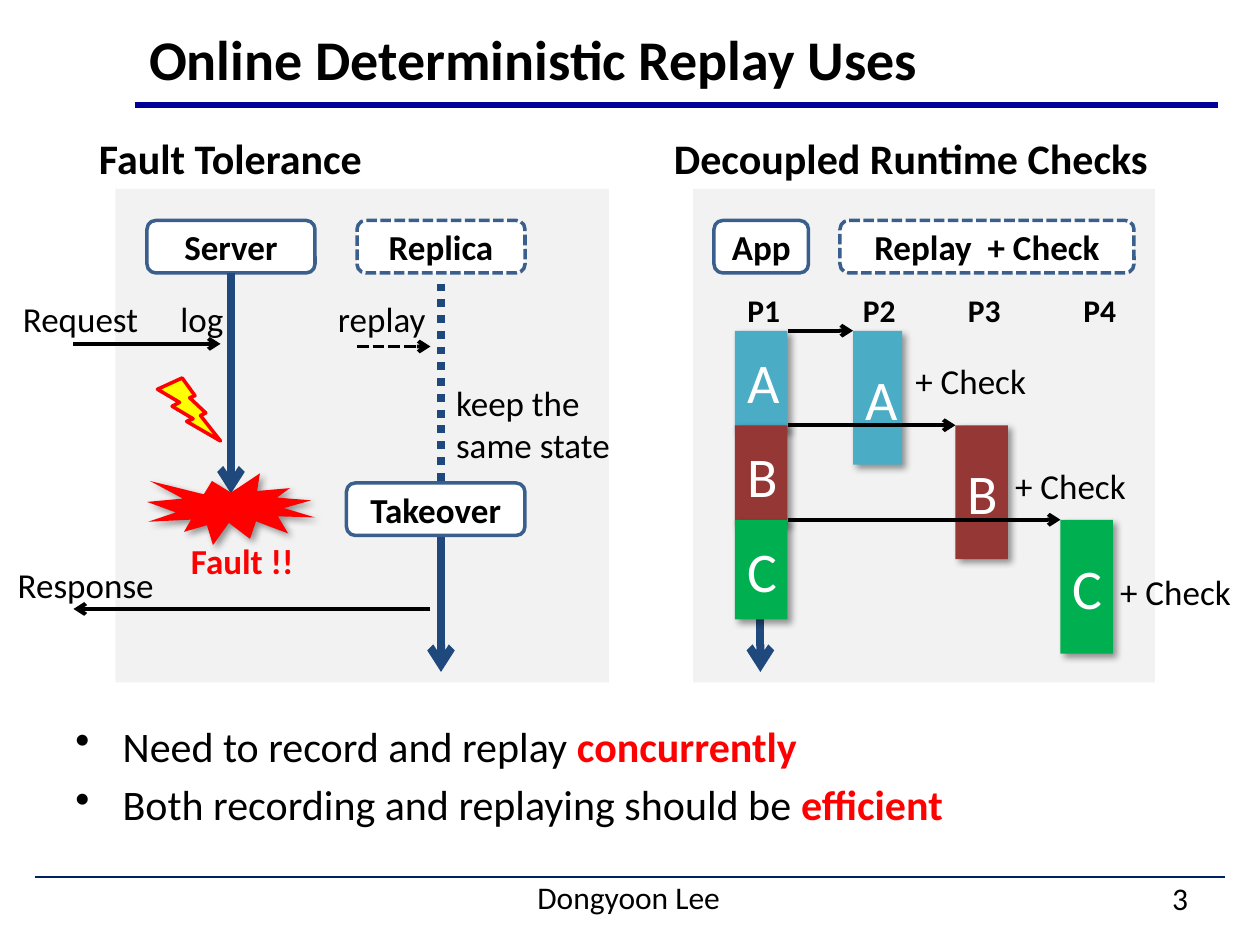
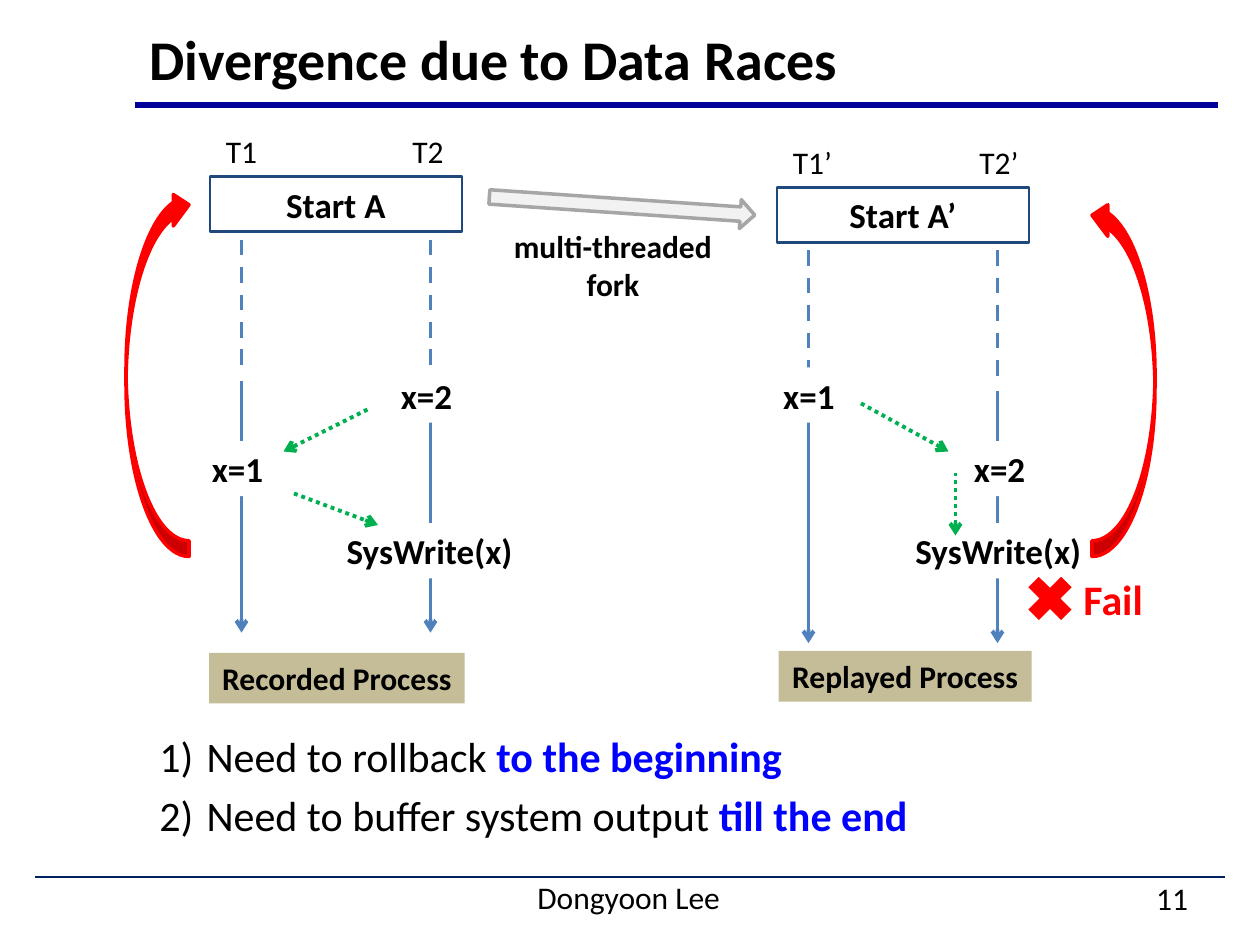
import dataclasses
import typing

import lxml.etree
import pptx
import pptx.dml.color
import pptx.enum.dml
import pptx.enum.shapes
import pptx.enum.text
import pptx.oxml.ns
import pptx.slide
import pptx.util

Kind = pptx.enum.shapes.MSO_SHAPE
Align = pptx.enum.text.PP_ALIGN
Fit = pptx.enum.text.MSO_AUTO_SIZE
Dash = pptx.enum.dml.MSO_LINE
Pt = pptx.util.Pt
Frame = tuple[float, float, float, float]
Point = tuple[float, float]

FONT = "Calibri"
BLACK, WHITE, RED, BLUE = "000000", "FFFFFF", "FF0000", "0000FF"
NAVY, STEEL, SKY, GREEN = "1F497D", "3A5F8C", "4F81BD", "00B050"
TEAL, BRICK, PALE, GREY, TAN = "4BACC6", "953735", "F2F2F2", "A6A6A6", "C4BD97"
RULE, BASE = "000099", "002060"


@dataclasses.dataclass
class Box:
    """A preset shape, or a plain text box when kind is None."""
    at: Frame
    text: str = ""
    kind: typing.Any = None
    fill: str = ""
    line: str = ""
    width: float = 2
    dash: typing.Any = None
    size: float = 20
    bold: bool = False
    ink: str = BLACK
    align: typing.Any = Align.LEFT
    wrap: bool = False
    shade: bool = False
    turn: float = 0


@dataclasses.dataclass
class Line:
    start: Point
    end: Point
    color: str = BLACK
    width: float = 2.25
    dash: typing.Any = None
    head: bool = True


@dataclasses.dataclass
class Side:
    """One process on the data race slide."""
    x: float
    top: float
    marks: tuple[str, str]
    wide: float
    start: str
    name: str
    plate: Frame
    steps: list[tuple[str, Frame]]
    hops: list[tuple[Point, Point]]


def rgb(code: str) -> pptx.dml.color.RGBColor:
    return pptx.dml.color.RGBColor.from_string(code)


def place(at: Frame) -> list[pptx.util.Length]:
    return [Pt(side) for side in at]


def add_xml(parent: typing.Any, tag: str, **attrs: str) -> typing.Any:
    return lxml.etree.SubElement(parent, pptx.oxml.ns.qn(tag), attrs)


def set_font(run: typing.Any, size: float, bold: bool, ink: str) -> None:
    run.font.name, run.font.size, run.font.bold = FONT, Pt(size), bold
    run.font.color.rgb = rgb(ink)


def write(frame: typing.Any, text: str, size: float, bold: bool = False,
          ink: str = BLACK, align: typing.Any = Align.LEFT) -> None:
    frame.text = text
    frame.vertical_anchor = pptx.enum.text.MSO_ANCHOR.MIDDLE
    for para in frame.paragraphs:
        para.alignment = align
        for run in para.runs:
            set_font(run, size, bold, ink)


def draw_box(slide: pptx.slide.Slide, box: Box) -> typing.Any:
    if box.kind is None:
        shape = slide.shapes.add_textbox(*place(box.at))
    else:
        shape = slide.shapes.add_shape(box.kind, *place(box.at))
        shape.rotation = box.turn
        if box.fill:
            shape.fill.solid()
            shape.fill.fore_color.rgb = rgb(box.fill)
        if box.line:
            shape.line.color.rgb = rgb(box.line)
            shape.line.width = Pt(box.width)
            if box.dash:
                shape.line.dash_style = box.dash
        else:
            shape.line.fill.background()
        shape.shadow.inherit = False
        if box.shade:
            drop(shape)
    if box.text:
        frame = shape.text_frame
        write(frame, box.text, box.size, box.bold, box.ink, box.align)
        frame.word_wrap = box.wrap
        frame.auto_size = Fit.NONE if box.wrap else Fit.SHAPE_TO_FIT_TEXT
    return shape


def drop(shape: typing.Any) -> None:
    """Give the shape a soft shadow to the lower right."""
    effects = shape.element.spPr.find(pptx.oxml.ns.qn("a:effectLst"))
    outer = add_xml(effects, "a:outerShdw", blurRad=str(int(Pt(4))),
                    dist=str(int(Pt(3))), dir="2700000", algn="tl", rotWithShape="0")
    add_xml(add_xml(outer, "a:srgbClr", val=BLACK), "a:alpha", val="40000")


def draw_line(slide: pptx.slide.Slide, line: Line) -> typing.Any:
    link = slide.shapes.add_connector(pptx.enum.shapes.MSO_CONNECTOR.STRAIGHT,
                                      *place(line.start + line.end))
    link.line.color.rgb = rgb(line.color)
    link.line.width = Pt(line.width)
    if line.dash:
        link.line.dash_style = line.dash
    props = link.element.spPr
    if line.head:
        add_xml(props.find(pptx.oxml.ns.qn("a:ln")), "a:tailEnd", type="arrow")
    add_xml(props, "a:effectLst")
    return link


def new_slide(deck: typing.Any, title: str, page: str) -> pptx.slide.Slide:
    """Add a slide with the shared title, rules and footer."""
    slide = deck.slides.add_slide(deck.slide_layouts[5])
    draw_line(slide, Line((77, 60), (696, 60), RULE, 3, head=False))
    draw_line(slide, Line((20, 501), (700, 501), BASE, 1, head=False))
    draw_box(slide, Box((300, 498, 120, 29), "Dongyoon Lee", size=18, wrap=True))
    draw_box(slide, Box((620, 501, 66, 24), page, size=18, align=Align.RIGHT, wrap=True))
    head = slide.shapes.title
    head.left, head.top, head.width, head.height = place((78, 12, 606, 42))
    write(head.text_frame, title, 32, True)
    head.text_frame.auto_size = Fit.NONE
    return slide


def add_points(slide: pptx.slide.Slide, at: Frame, ink: str,
               points: list[tuple[str, str]], mark: str = "") -> None:
    """Add hanging lines that each end in a bold coloured phrase."""
    frame = slide.shapes.add_textbox(*place(at)).text_frame
    frame.word_wrap = True
    for index, (lead, key) in enumerate(points):
        para = frame.add_paragraph() if index else frame.paragraphs[0]
        para.text = lead
        set_font(para.runs[0], 24, False, BLACK)
        run = para.add_run()
        run.text = key
        set_font(run, 24, True, ink)
        para.space_before = Pt(4.8)
        props = para._p.get_or_add_pPr()
        props.set("marL", str(int(Pt(27))))
        props.set("indent", str(int(Pt(-27))))
        if mark:
            add_xml(props, "a:buChar", char=mark)


def card(at: Frame, text: str, dash: typing.Any = None) -> Box:
    return Box(at, text, Kind.ROUNDED_RECTANGLE, WHITE, STEEL, dash=dash,
               bold=True, align=Align.CENTER, wrap=True)


def block(at: Frame, text: str, fill: str) -> Box:
    return Box(at, text, Kind.RECTANGLE, fill, size=32, ink=WHITE,
               align=Align.CENTER, wrap=True, shade=True)


def panel(slide: pptx.slide.Slide, at: Frame, head: str, spot: Frame) -> None:
    draw_box(slide, Box(at, kind=Kind.RECTANGLE, fill=PALE))
    draw_box(slide, Box(spot, head, size=24, bold=True))


def fault_panel(slide: pptx.slide.Slide) -> None:
    panel(slide, (66, 108, 282, 282), "Fault Tolerance", (49.5, 72, 166.5, 36))
    server = draw_box(slide, card((84, 126, 96, 30), "Server"))
    draw_box(slide, card((204, 126, 96, 30), "Replica", Dash.SQUARE_DOT))
    run = draw_line(slide, Line((132, 156), (132, 282), NAVY, 4.5))
    run.begin_connect(server, 2)
    draw_line(slide, Line((252, 162), (252, 275), NAVY, 4.5, Dash.ROUND_DOT, False))
    draw_line(slide, Line((252, 288), (252, 384), NAVY, 4.5))
    draw_box(slide, card((198, 276, 102, 30), "Takeover"))
    for line in (Line((42, 196.5), (126, 196.5)),
                 Line((246, 348), (42, 348)),
                 Line((204, 198), (246, 198), dash=Dash.SQUARE_DOT)):
        draw_line(slide, line)
    for text, at in (("Request", (6, 166.5, 81, 31.5)),
                     ("log", (96, 166.5, 39.5, 31.5)),
                     ("Response", (3, 318, 93, 31.5)),
                     ("replay", (186, 166.5, 65, 31.5)),
                     ("keep the\nsame state", (253.5, 214.5, 103.5, 55.5))):
        draw_box(slide, Box(at, text))
    draw_box(slide, Box((84, 270.5, 96, 41), kind=Kind.EXPLOSION1, fill=RED, shade=True))
    draw_box(slide, Box((102, 304.5, 73.5, 31.5), "Fault !!", bold=True, ink=RED))
    draw_box(slide, Box((90, 216, 36, 36), kind=Kind.LIGHTNING_BOLT,
                        fill="FFFF00", line=RED))


def check_panel(slide: pptx.slide.Slide) -> None:
    panel(slide, (396, 108, 264, 282), "Decoupled Runtime Checks", (378, 72, 288, 36))
    draw_box(slide, card((408, 126, 54, 30), "App"))
    draw_box(slide, card((480, 126, 168, 30), "Replay  + Check", Dash.SQUARE_DOT))
    for index, left in enumerate((420, 486, 546, 612), 1):
        draw_box(slide, Box((left, 162.5, 42, 29), f"P{index}", size=18,
                            bold=True, wrap=True))
    for top in (243, 298, 333):
        draw_line(slide, Line((434.5, top), (434.5, top + 51), NAVY, 4.5))
    parts = (("A", TEAL, 487.5, 28, (516, 201.5)),
             ("B", BRICK, 546, 30, (573, 261.5)),
             ("C", GREEN, 606, 30, (633, 322)))
    for index, (name, fill, left, wide, spot) in enumerate(parts):
        top = 189 + 54 * index
        draw_box(slide, block((420, top, 30, 57), name, fill))
        draw_box(slide, block((left, top, wide, 76.5), name, fill))
        draw_line(slide, Line((450, top), (left, top)))
        draw_box(slide, Box(spot + (78.5, 31.5), "+ Check"))


def draw_side(slide: pptx.slide.Slide, side: Side) -> None:
    draw_box(slide, Box((side.x, side.top, 144, 31.5), side.start, Kind.RECTANGLE, WHITE,
                        NAVY, 1.5, bold=True, align=Align.CENTER, wrap=True))
    draw_box(slide, Box(side.plate, side.name, Kind.RECTANGLE, TAN, size=18,
                        bold=True, align=Align.CENTER))
    for index, mark in enumerate(side.marks):
        left = side.x + 2 + 106.5 * index
        draw_box(slide, Box((left, side.top - 29, side.wide, 29), mark, size=18))
        lane = side.x + 18 + 108 * index
        top = side.top + 36
        draw_line(slide, Line((lane, top + 80.5), (lane, top + 224.5), SKY))
        draw_line(slide, Line((lane, top), (lane, top + 72), SKY,
                              dash=Dash.DASH, head=False))
    for text, at in side.steps:
        draw_box(slide, Box(at, text, Kind.RECTANGLE, WHITE, bold=True))
    for start, end in side.hops:
        draw_line(slide, Line(start, end, GREEN, dash=Dash.ROUND_DOT))


def race_slide(deck: typing.Any) -> None:
    slide = new_slide(deck, "Divergence due to Data Races", "11")
    add_points(slide, (84, 414, 606, 78), BLUE,
               [("1)\tNeed to rollback ", "to the beginning"),
                ("2)\tNeed to buffer system output ", "till the end")])
    sides = (
        Side(120, 101, ("T1", "T2"), 34.5, "Start A", "Recorded Process",
             (119.5, 373, 146, 29),
             [("SysWrite(x)", (191, 299, 110, 31.5)), ("x=1", (114, 252, 44, 31.5)),
              ("x=2", (222, 210, 46, 31.5))],
             [((210, 234), (162, 258)), ((168, 282), (216, 300))]),
        Side(444, 107, ("T1’", "T2’"), 37.5, "Start A’", "Replayed Process",
             (445, 372, 144.5, 29),
             [("x=1", (440.5, 210, 44, 31.5)), ("x=2", (549.5, 252, 44, 31.5)),
              ("SysWrite(x)", (516, 299, 110, 31.5))],
             [((492, 230.5), (542, 258)), ((546, 270), (546, 306))]))
    for side in sides:
        draw_side(slide, side)
    draw_box(slide, Box((279.5, 109.5, 152, 16.5), kind=Kind.RIGHT_ARROW,
                        fill=PALE, line=GREY, turn=3.9))
    draw_box(slide, Box((278, 126, 144.5, 51), "multi-threaded\nfork", size=18,
                        bold=True, align=Align.CENTER))
    for kind, at in ((Kind.CURVED_LEFT_ARROW, (72, 108, 36, 210)),
                     (Kind.CURVED_RIGHT_ARROW, (624, 114, 36, 204))):
        draw_box(slide, Box(at, kind=kind, fill=RED, line=RED, turn=180))
    draw_box(slide, Box((582, 324, 36, 36), kind=Kind.MATH_MULTIPLY, fill=RED))
    draw_box(slide, Box((612, 324, 63, 36), "Fail", size=24, bold=True, ink=RED, wrap=True))


def uses_slide(deck: typing.Any) -> None:
    slide = new_slide(deck, "Online Deterministic Replay Uses", "3")
    fault_panel(slide)
    check_panel(slide)
    add_points(slide, (36, 408, 660, 66), RED,
               [("Need to record and replay ", "concurrently"),
                ("Both recording and replaying should be ", "efficient")], "•")


def main() -> None:
    deck = pptx.Presentation()
    deck.slide_width, deck.slide_height = Pt(720), Pt(540)
    uses_slide(deck)
    race_slide(deck)
    deck.save("out.pptx")


if __name__ == "__main__":
    main()
